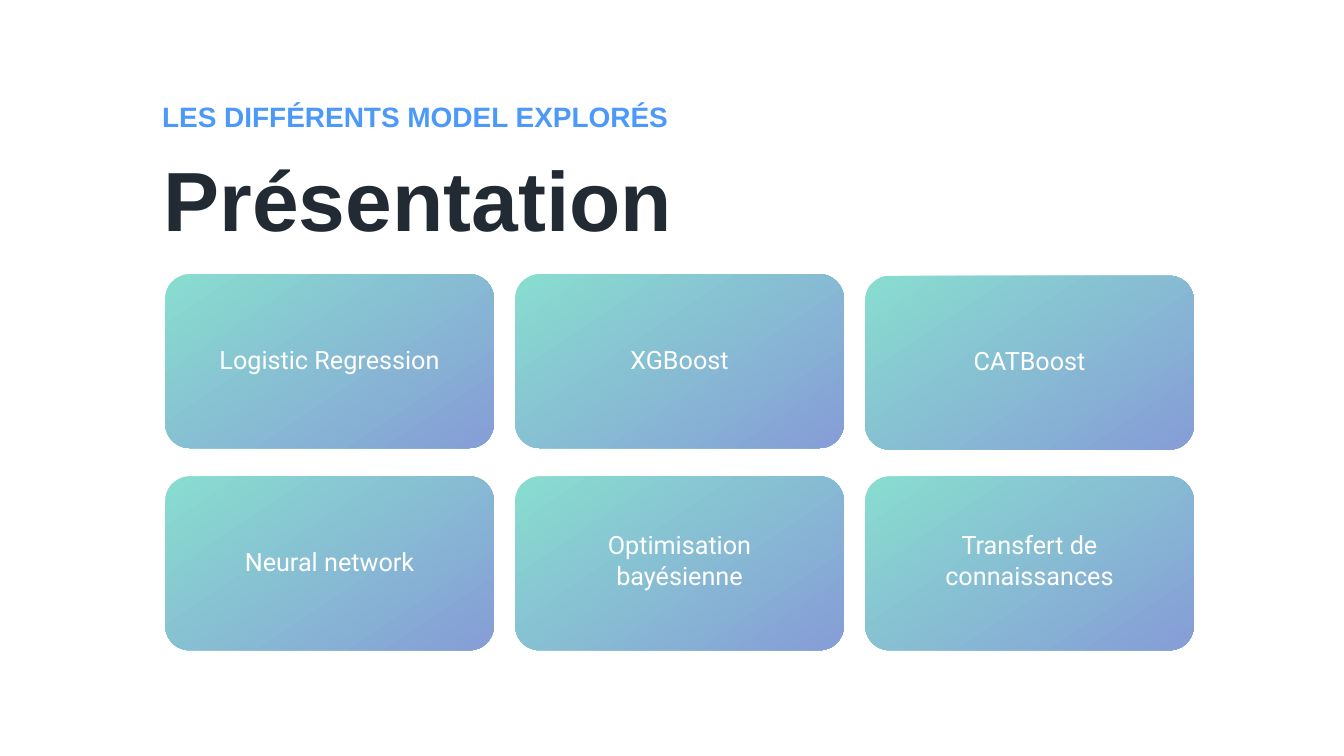
from pptx import Presentation
from pptx.dml.color import RGBColor
from pptx.enum.shapes import MSO_SHAPE
from pptx.enum.text import MSO_ANCHOR, MSO_AUTO_SIZE, PP_ALIGN
from pptx.util import Cm, Pt

TITLE = "Présentation"
LABEL = "LES DIFFÉRENTS MODEL EXPLORÉS"
CARDS = [
    [("Logistic Regression", 1, 0), ("XGBoost", 1, 0), ("CATBoost", 1, 0.08)],
    [("Neural network", 1, 0), ("Optimisation bayésienne", 2, 0),
     ("Transfert de connaissances", 2, 0)],
]
LEFT, TOP = 8.33, 13.82
WIDE, HIGH = 16.56, 8.76
STEP_X, STEP_Y = 17.64, 10.19
TEXT_W = 12.01
TEXT_H = {1: 2.21, 2: 3.89}


def color(code):
    return RGBColor.from_string(code)


def blend(fill, first, last, angle):
    fill.gradient()
    fill.gradient_angle = angle
    for stop, code in zip(fill.gradient_stops, (first, last)):
        stop.color.rgb = color(code)


def write(box, text, size, face, code, bold=False, align=PP_ALIGN.LEFT):
    frame = box.text_frame
    frame.text = text
    frame.word_wrap = True
    frame.auto_size = MSO_AUTO_SIZE.SHAPE_TO_FIT_TEXT
    frame.vertical_anchor = MSO_ANCHOR.TOP
    frame.margin_left = frame.margin_right = Cm(0.25)
    frame.margin_top = frame.margin_bottom = Cm(0.25)
    para = frame.paragraphs[0]
    para.alignment = align
    font = para.runs[0].font
    font.name, font.size, font.bold = face, Pt(size), bold
    font.color.rgb = color(code)
    return font


def add_card(slide, text, lines, left, top):
    group = slide.shapes.add_group_shape()
    card = group.shapes.add_shape(
        MSO_SHAPE.ROUNDED_RECTANGLE, Cm(left), Cm(top), Cm(WIDE), Cm(HIGH))
    card.adjustments[0] = 0.14
    card.shadow.inherit = False
    card.line.fill.background()
    blend(card.fill, "88DDCF", "869DD7", 304)
    high = TEXT_H[lines]
    box = group.shapes.add_textbox(
        Cm(left + (WIDE - TEXT_W) / 2), Cm(top + (HIGH - high) / 2),
        Cm(TEXT_W), Cm(high))
    write(box, text, 36, "Roboto", "FFFFFF", align=PP_ALIGN.CENTER)


def main():
    deck = Presentation()
    deck.slide_width, deck.slide_height = Cm(67.74), Cm(38.1)
    slide = deck.slides.add_slide(deck.slide_layouts[5])

    title = slide.shapes.title
    title.left, title.top = Cm(8), Cm(7.16)
    title.width, title.height = Cm(50.55), Cm(5.59)
    write(title, TITLE, 120, "Arial", "222B34", bold=True)

    label = slide.shapes.add_textbox(Cm(7.92), Cm(4.75), Cm(27.58), Cm(2.21))
    font = write(label, LABEL, 40, "Arial", "4C99F9", bold=True)
    blend(font.fill, "4C99F9", "88DDD0", 8)

    for row, cards in enumerate(CARDS):
        for col, (text, lines, drop) in enumerate(cards):
            add_card(slide, text, lines,
                     LEFT + col * STEP_X, TOP + row * STEP_Y + drop)

    deck.save("out.pptx")


if __name__ == "__main__":
    main()
